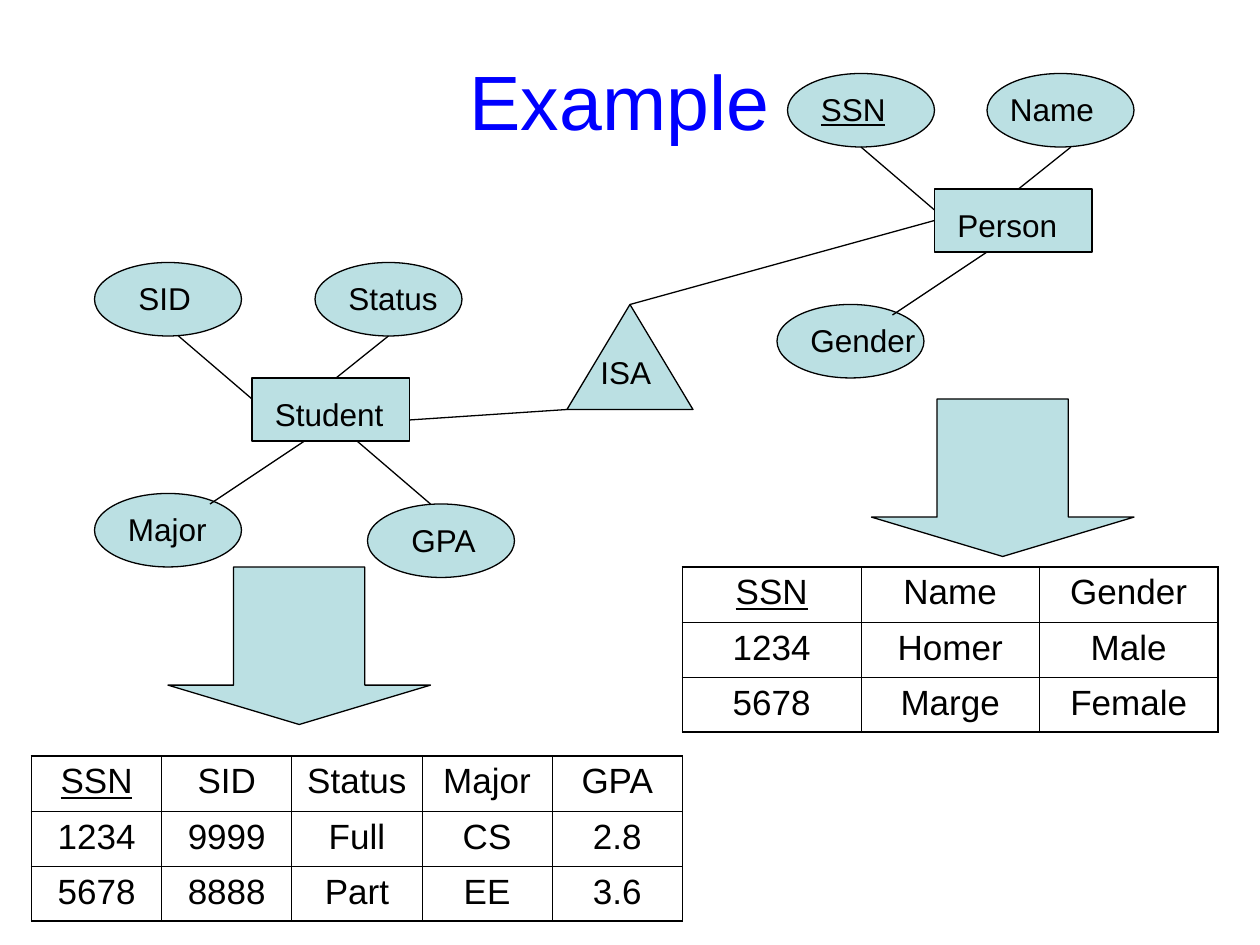
import dataclasses

import lxml.etree
import pptx
import pptx.dml.color
import pptx.enum.shapes
import pptx.enum.text
import pptx.oxml.ns
import pptx.util

Shape = pptx.enum.shapes.MSO_SHAPE
Align = pptx.enum.text.PP_ALIGN
Anchor = pptx.enum.text.MSO_ANCHOR
AutoSize = pptx.enum.text.MSO_AUTO_SIZE


@dataclasses.dataclass(frozen=True)
class Theme:
    font: str = "Arial"
    title_color: str = "0000FF"
    ink: str = "000000"
    fill: str = "BBE0E3"
    paper: str = "FFFFFF"
    title_size: int = 44
    label_size: int = 18
    table_size: int = 20
    line_width: float = 0.75
    outer_border: float = 1.08
    inner_border: float = 0.45


THEME = Theme()
ATTRIBUTE_SIZE = (14, 7)
ENTITY_SIZE = (15, 6)
ARROW_SIZE = (25, 15)
LABEL_HEIGHT = 4.8
ROW_HEIGHT = 5.24


def grid(*units):
    """The drawing sits on a grid of twelve steps to the inch."""
    return [pptx.util.Cm(unit * 2.54 / 12) for unit in units]


def rgb(value):
    return pptx.dml.color.RGBColor.from_string(value)


def write_text(frame, text, size=THEME.label_size, color=THEME.ink,
               align=Align.LEFT, underline=False):
    paragraph = frame.paragraphs[0]
    paragraph.alignment = align
    run = paragraph.add_run()
    run.text = text
    run.font.name = THEME.font
    run.font.size = pptx.util.Pt(size)
    run.font.color.rgb = rgb(color)
    if underline:
        run.font.underline = True


def style_line(line):
    line.color.rgb = rgb(THEME.ink)
    line.width = pptx.util.Pt(THEME.line_width)


def add_figure(slide, kind, position, size):
    shape = slide.shapes.add_shape(kind, *grid(*position, *size))
    shape.shadow.inherit = False
    shape.fill.solid()
    shape.fill.fore_color.rgb = rgb(THEME.fill)
    style_line(shape.line)
    return shape


def add_label(slide, text, left, top, width, underline=False):
    box = slide.shapes.add_textbox(*grid(left, top, width, LABEL_HEIGHT))
    box.text_frame.word_wrap = True
    box.text_frame.auto_size = AutoSize.SHAPE_TO_FIT_TEXT
    write_text(box.text_frame, text, underline=underline)


def add_title(slide, text):
    box = slide.shapes.add_textbox(*grid(5, 2, 108, 15))
    box.text_frame.word_wrap = True
    box.text_frame.vertical_anchor = Anchor.MIDDLE
    write_text(box.text_frame, text, size=THEME.title_size,
               color=THEME.title_color, align=Align.CENTER)


def add_link(slide, start, end):
    connector = slide.shapes.add_connector(
        pptx.enum.shapes.MSO_CONNECTOR.STRAIGHT, *grid(*start, *end))
    style_line(connector.line)
    lxml.etree.SubElement(connector._element.spPr,
                          pptx.oxml.ns.qn("a:effectLst"))


def add_border(cell, side, width):
    qn = pptx.oxml.ns.qn
    line = lxml.etree.SubElement(cell._tc.get_or_add_tcPr(), qn(f"a:ln{side}"),
                                 w=str(int(pptx.util.Pt(width))))
    fill = lxml.etree.SubElement(line, qn("a:solidFill"))
    lxml.etree.SubElement(fill, qn("a:srgbClr"), val=THEME.ink)


def add_relation(slide, left, top, width, rows):
    """Add a table whose key column comes first and is underlined."""
    row_count, column_count = len(rows), len(rows[0])
    table = slide.shapes.add_table(
        row_count, column_count,
        *grid(left, top, width, ROW_HEIGHT * row_count)).table
    table.first_row = table.horz_banding = False
    for column in table.columns:
        column.width = grid(width / column_count)[0]
    for row_index, values in enumerate(rows):
        for column_index, value in enumerate(values):
            cell = table.cell(row_index, column_index)
            write_text(cell.text_frame, value, size=THEME.table_size,
                       align=Align.CENTER,
                       underline=row_index == column_index == 0)
            outer_sides = {"L": column_index == 0,
                           "R": column_index == column_count - 1,
                           "T": row_index == 0,
                           "B": row_index == row_count - 1}
            for side, outer in outer_sides.items():
                add_border(cell, side,
                           THEME.outer_border if outer else THEME.inner_border)
            cell.fill.solid()
            cell.fill.fore_color.rgb = rgb(THEME.paper)


def main():
    presentation = pptx.Presentation()
    presentation.slide_width = pptx.util.Cm(25.4)
    presentation.slide_height = pptx.util.Cm(19.05)
    slide = presentation.slides.add_slide(presentation.slide_layouts[6])

    add_title(slide, "Example")

    # Entities: name, position, label left
    for name, (left, top) in (("Student", (24, 36)), ("Person", (89, 18))):
        add_figure(slide, Shape.RECTANGLE, (left, top), ENTITY_SIZE)
        add_label(slide, name, left + 1, top + 1, 13)

    # Attributes: name, position, label offset, label width
    attributes = (
        ("SID", (9, 25), 3, 10),
        ("Status", (30, 25), 2, 11),
        ("Major", (9, 47), 2, 10),
        ("GPA", (35, 48), 3, 9),
        ("SSN", (75, 7), 2, 10),
        ("Name", (94, 7), 1, 11),
        ("Gender", (74, 29), 2, 14),
    )
    for name, (left, top), offset, width in attributes:
        add_figure(slide, Shape.OVAL, (left, top), ATTRIBUTE_SIZE)
        add_label(slide, name, left + offset, top + 1, width,
                  underline=name == "SSN")

    # Inheritance
    add_figure(slide, Shape.FLOWCHART_EXTRACT, (54, 29), (12, 10))
    add_label(slide, "ISA", 56, 33, 11)

    # Links between the parts of the diagram
    links = (
        ((17, 32), (24, 38)), ((37, 32), (32, 36)),
        ((41, 48), (34, 42)), ((20, 48), (29, 42)),
        ((82, 14), (89, 20)), ((102, 14), (97, 18)),
        ((85, 30), (94, 24)),
        ((60, 29), (89, 21)), ((54, 39), (39, 40)),
    )
    for start, end in links:
        add_link(slide, start, end)

    # Arrows from the diagram to the relations
    for position in ((16, 54), (83, 38)):
        arrow = add_figure(slide, Shape.DOWN_ARROW, position, ARROW_SIZE)
        arrow.adjustments[0] = 0.5
        arrow.adjustments[1] = 0.25

    # Relations
    add_relation(slide, 3, 72, 62, (
        ("SSN", "SID", "Status", "Major", "GPA"),
        ("1234", "9999", "Full", "CS", "2.8"),
        ("5678", "8888", "Part", "EE", "3.6"),
    ))
    add_relation(slide, 65, 54, 51, (
        ("SSN", "Name", "Gender"),
        ("1234", "Homer", "Male"),
        ("5678", "Marge", "Female"),
    ))

    presentation.save("out.pptx")


if __name__ == "__main__":
    main()
